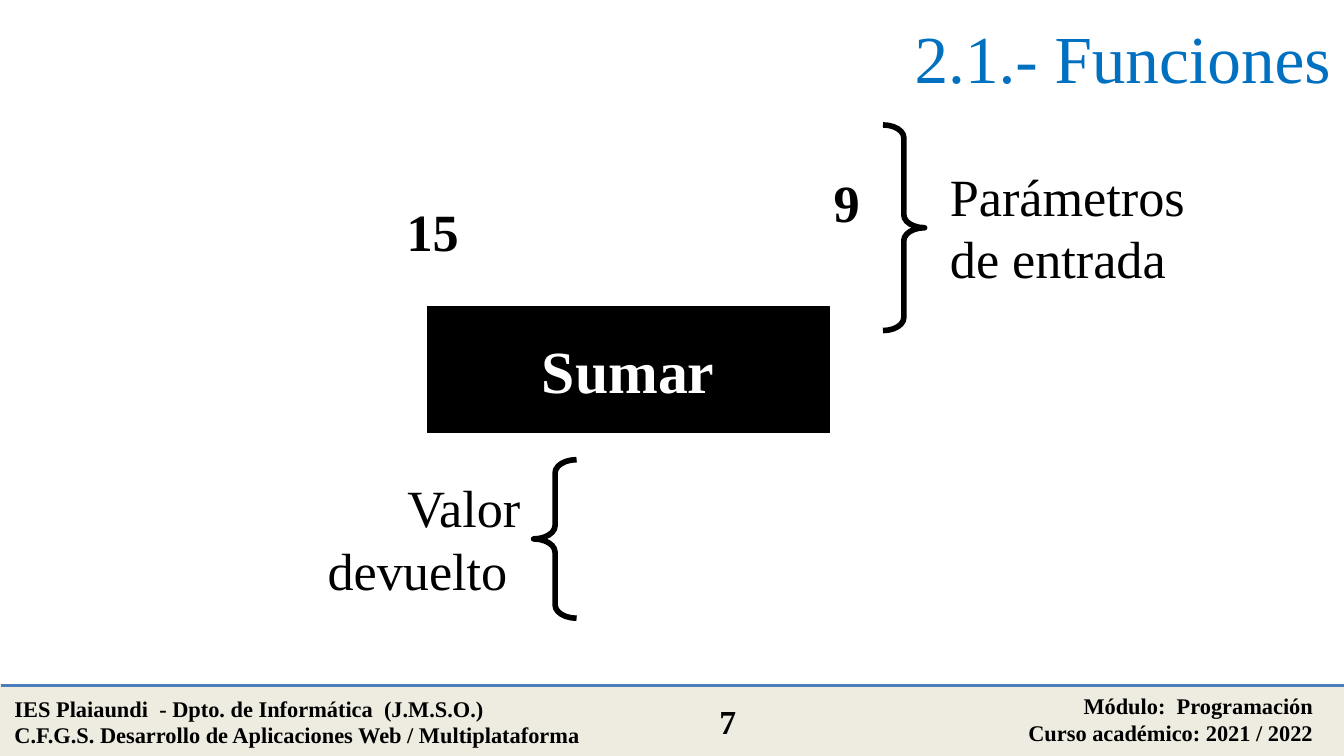
from pptx import Presentation
from pptx.dml.color import RGBColor
from pptx.enum.shapes import MSO_CONNECTOR, MSO_SHAPE
from pptx.enum.text import MSO_ANCHOR, PP_ALIGN
from pptx.oxml.ns import qn
from pptx.util import Inches, Pt
from lxml.etree import SubElement

LEFT, CENTER, RIGHT = PP_ALIGN.LEFT, PP_ALIGN.CENTER, PP_ALIGN.RIGHT


def color(value):
    return RGBColor.from_string(value)


def write(shape, lines, size, align, bold=False, ink="000000"):
    frame = shape.text_frame
    frame.word_wrap = True
    frame.text = "\n".join(lines)
    for paragraph in frame.paragraphs:
        paragraph.alignment = align
        paragraph.font.name = "Times New Roman"
        paragraph.font.size = Pt(size)
        paragraph.font.bold = bold
        paragraph.font.color.rgb = color(ink)


presentation = Presentation()
presentation.slide_width = Inches(10)
presentation.slide_height = Inches(10 * 9 / 16)
slide = presentation.slides.add_slide(presentation.slide_layouts[6])
shapes = slide.shapes

rectangles = [
    (3.18, 2.28, 2.99, 0.94, "000000", 0.75),
    (0.01, 5.1, 10, 0.52, "EEECE1", 2),
]
boxes = []
for left, top, width, height, fill, line_width in rectangles:
    box = shapes.add_shape(MSO_SHAPE.RECTANGLE, Inches(left), Inches(top), Inches(width), Inches(height))
    box.shadow.inherit = False
    box.fill.solid()
    box.fill.fore_color.rgb = color(fill)
    box.line.color.rgb = color(fill)
    box.line.width = Pt(line_width)
    boxes.append(box)

function_box = boxes[0]
function_box.text_frame.vertical_anchor = MSO_ANCHOR.MIDDLE
write(function_box, ["Sumar"], 32, CENTER, True, "FFFFFF")

braces = [
    (MSO_SHAPE.RIGHT_BRACE, 6.57, 0.93, 0.31, 1.53),
    (MSO_SHAPE.LEFT_BRACE, 3.97, 3.42, 0.32, 1.18),
]
for kind, left, top, width, height in braces:
    brace = shapes.add_shape(kind, Inches(left), Inches(top), Inches(width), Inches(height))
    brace.adjustments[0] = 0.31
    brace.shadow.inherit = False
    brace.fill.background()
    brace.line.color.rgb = color("000000")
    brace.line.width = Pt(3)

footer_rule = shapes.add_connector(MSO_CONNECTOR.STRAIGHT, Inches(0.01), Inches(5.1), Inches(10.01), Inches(5.1))
footer_rule.line.color.rgb = color("4A7DBA")
footer_rule.line.width = Pt(2)
SubElement(footer_rule._element.spPr, qn("a:effectLst"))

school = [
    "IES Plaiaundi  - Dpto. de Informática  (J.M.S.O.)",
    "C.F.G.S. Desarrollo de Aplicaciones Web / Multiplataforma",
]
course = ["Módulo:  Programación", "Curso académico: 2021 / 2022"]
texts = [
    (2.55, 1.43, 1.34, 0.57, ["15"], 28, CENTER, True),
    (5.63, 1.22, 1.34, 0.57, ["9"], 28, CENTER, True),
    (6.97, 1.17, 2.13, 1.04, ["Parámetros de entrada"], 28, LEFT, False),
    (1.84, 3.49, 2.13, 1.04, ["Valor devuelto "], 28, RIGHT, False),
    (0.01, 5.12, 4.66, 0.5, school, 12, LEFT, True),
    (5.87, 5.1, 4, 0.5, course, 12, RIGHT, True),
    (5.01, 5.17, 0.81, 0.4, ["7"], 18, CENTER, True),
]
for left, top, width, height, lines, size, align, bold in texts:
    label = shapes.add_textbox(Inches(left), Inches(top), Inches(width), Inches(height))
    write(label, lines, size, align, bold)

title = shapes.add_textbox(Inches(1.32), Inches(0), Inches(8.68), Inches(0.84))
title.text_frame.vertical_anchor = MSO_ANCHOR.MIDDLE
write(title, ["2.1.- Funciones"], 36, RIGHT, ink="0070C0")

presentation.save("out.pptx")
